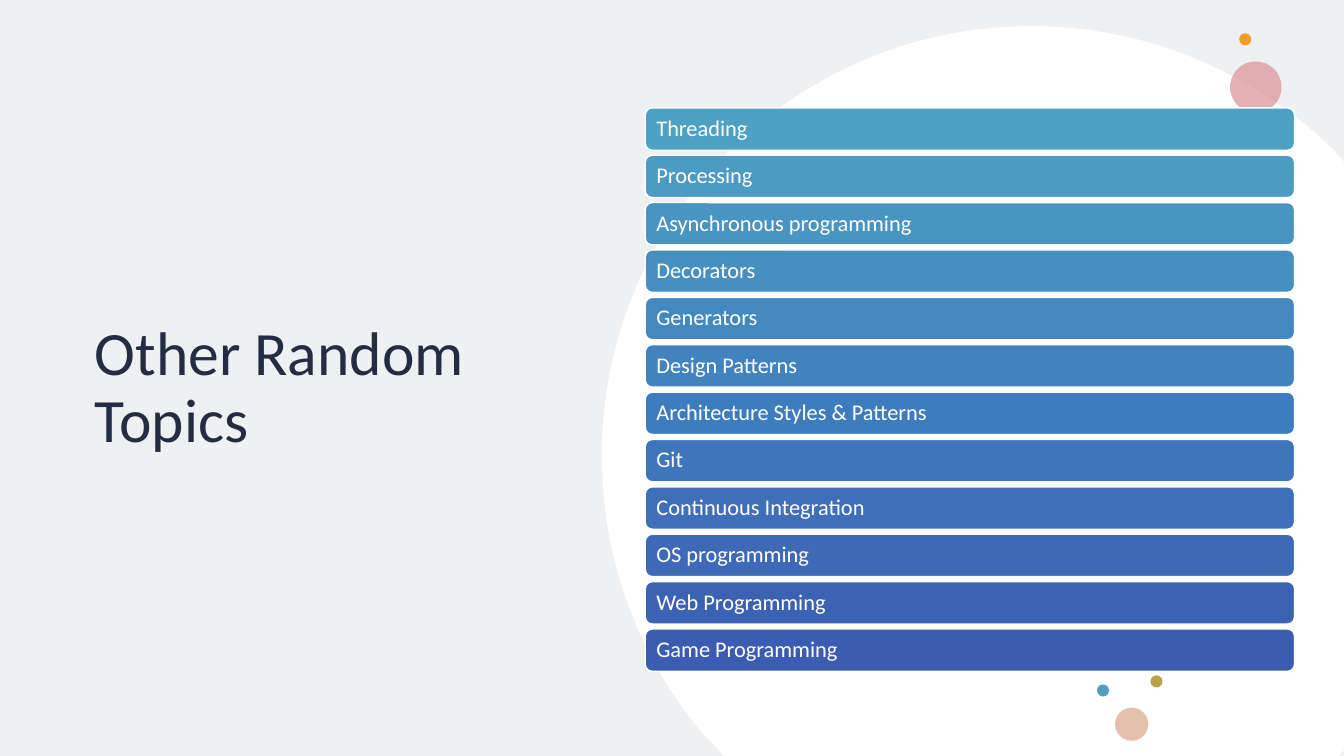
import pptx
import pptx.dml.color
import pptx.enum.shapes
import pptx.enum.text
import pptx.oxml
import pptx.oxml.ns
import pptx.util

PX = 9144  # 100 px to the inch
WIDTH, HEIGHT = 1333, 750
FONT = "Calibri"
SHAPE = pptx.enum.shapes.MSO_SHAPE
MIDDLE = pptx.enum.text.MSO_ANCHOR.MIDDLE
LEFT = pptx.enum.text.PP_ALIGN.LEFT

TOPICS = [
    ("Threading", "4DA1C3"),
    ("Processing", "4B9BC2"),
    ("Asynchronous programming", "4895C1"),
    ("Decorators", "468FC1"),
    ("Generators", "4389C0"),
    ("Design Patterns", "4182BF"),
    ("Architecture Styles & Patterns", "3F7CBD"),
    ("Git", "3E75BB"),
    ("Continuous Integration", "3E6FB8"),
    ("OS programming", "3D69B6"),
    ("Web Programming", "3C63B3"),
    ("Game Programming", "3B5DB1"),
]

# left, top, diameter, colour, opacity in percent
DOTS = [
    (1220, 61, 51, "DB9498", 72),
    (1229, 33, 12, "F39E29", 100),
    (1141, 670, 12, "BBA149", 100),
    (1106, 702, 33, "E4C0AD", 100),
    (1088, 679, 12, "4DA1C3", 100),
]

# Each step is one point for a line, or two handles and a point for a curve
CIRCLE_START = (1023, 26)
CIRCLE_STEPS = [
    [(1141, 26), (1247, 74), (1325, 151)],
    [(1333, 161)],
    [(1333, 744)],
    [(1328, 750)],
    [(718, 750)],
    [(694, 724)],
    [(633, 650), (597, 555), (597, 452)],
    [(597, 217), (788, 26), CIRCLE_START],
]


def px(n):
    return pptx.util.Emu(n * PX)


def rgb(hex_colour):
    return pptx.dml.color.RGBColor.from_string(hex_colour)


def element(tag, **attributes):
    el = pptx.oxml.parse_xml(f'<a:{tag} {pptx.oxml.ns.nsdecls("a")}/>')
    for name, value in attributes.items():
        el.set(name, str(value))
    return el


def paint(sp, colour, outline=None, opacity=100):
    sp.shadow.inherit = False
    sp.fill.solid()
    sp.fill.fore_color.rgb = rgb(colour)
    if opacity < 100:
        fill = sp.element.spPr.find(pptx.oxml.ns.qn("a:solidFill"))
        fill[0].append(element("alpha", val=opacity * 1000))
    if outline:
        sp.line.color.rgb = rgb(outline)
        sp.line.width = pptx.util.Pt(1)
    else:
        sp.line.fill.background()


def write(tf, text, size, colour):
    tf.word_wrap = True
    tf.vertical_anchor = MIDDLE
    p = tf.paragraphs[0]
    p.alignment = LEFT
    p.line_spacing = 0.9
    r = p.add_run()
    r.text = text
    r.font.name = FONT
    r.font.size = pptx.util.Pt(size)
    r.font.color.rgb = rgb(colour)


def add_tint(s):
    sp = s.shapes.add_shape(SHAPE.RECTANGLE, 0, 0, px(WIDTH), px(HEIGHT))
    paint(sp, "C8D0D4", opacity=30)
    # Send it behind the title
    s.shapes.title.element.addprevious(sp.element)


def add_title(s, text):
    title = s.shapes.title
    title.left, title.top, title.width, title.height = map(px, (84, 104, 504, 564))
    title.text_frame.auto_size = pptx.enum.text.MSO_AUTO_SIZE.NONE
    write(title.text_frame, text, 44, "242C41")


def add_outline(s, start, steps, colour):
    builder = s.shapes.build_freeform(*start, scale=PX)
    builder.add_line_segments([step[-1] for step in steps], close=True)
    sp = builder.convert_to_shape()
    paint(sp, colour)
    left = min(step[-1][0] for step in steps)
    top = min(step[-1][1] for step in steps)
    lines = list(sp.element.iter(pptx.oxml.ns.qn("a:lnTo")))
    for line, step in zip(lines, steps):
        if len(step) == 3:
            curve = element("cubicBezTo")
            for x, y in step:
                curve.append(element("pt", x=x - left, y=y - top))
            line.getparent().replace(line, curve)


def add_dot(s, left, top, size, colour, opacity):
    sp = s.shapes.add_shape(SHAPE.OVAL, px(left), px(top), px(size), px(size))
    paint(sp, colour, opacity=opacity)


def add_bar(s, top, text, colour):
    sp = s.shapes.add_shape(SHAPE.ROUNDED_RECTANGLE, px(640), px(top), px(644), px(42))
    paint(sp, colour, "FFFFFF")
    tf = sp.text_frame
    tf.margin_left = tf.margin_right = px(9)
    tf.margin_top = tf.margin_bottom = px(5)
    write(tf, text, 16, "FFFFFF")


def main():
    prs = pptx.Presentation()
    prs.slide_width, prs.slide_height = px(WIDTH), px(HEIGHT)
    s = prs.slides.add_slide(prs.slide_layouts[5])

    # Background and title
    s.background.fill.solid()
    s.background.fill.fore_color.rgb = rgb("FFFFFF")
    add_tint(s)
    add_title(s, "Other Random Topics")

    # Decoration
    add_outline(s, CIRCLE_START, CIRCLE_STEPS, "FFFFFF")
    for dot in DOTS:
        add_dot(s, *dot)

    # Topic list
    for i, (topic, colour) in enumerate(TOPICS):
        add_bar(s, 107 + 47 * i, topic, colour)

    prs.save("out.pptx")


if __name__ == "__main__":
    main()
